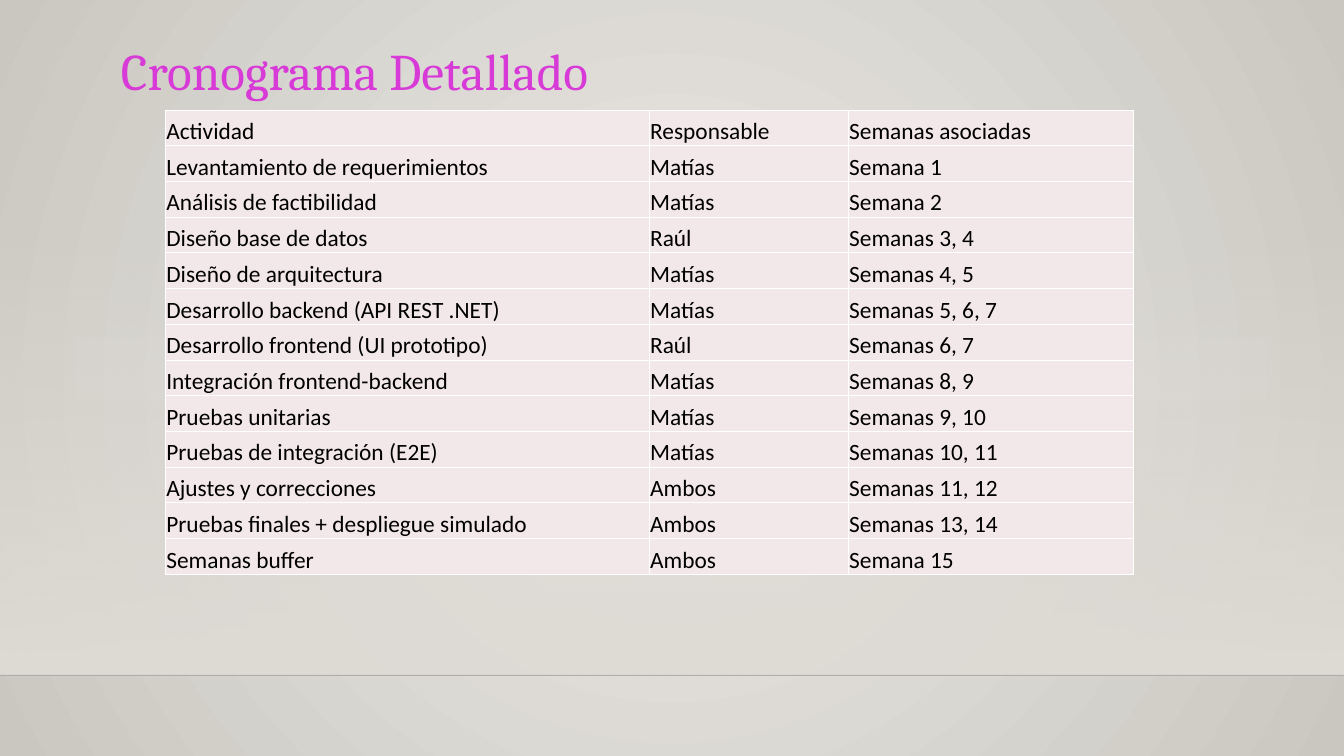
from pptx import Presentation
from pptx.dml.color import RGBColor as RGB
from pptx.enum.shapes import MSO_CONNECTOR as Connector, MSO_SHAPE as Shape
from pptx.enum.text import MSO_ANCHOR as Anchor
from pptx.oxml import parse_xml
from pptx.oxml.ns import nsdecls, qn
from pptx.util import Inches, Pt

WIDTH, HEIGHT = 16, 9
COLORS = {
    "center": "ECEAE7", "edge": "CAC7C1", "floor": "DFDBD5", "horizon": "000001",
    "title": "D73AD7", "white": "FFFFFF", "cell": "F3E8E9", "text": "000000",
}
COLUMN_WIDTHS = (5.76, 2.37, 3.4)
SCHEDULE = [
    ("Actividad", "Responsable", "Semanas asociadas"),
    ("Levantamiento de requerimientos", "Matías", "Semana 1"),
    ("Análisis de factibilidad", "Matías", "Semana 2"),
    ("Diseño base de datos", "Raúl", "Semanas 3, 4"),
    ("Diseño de arquitectura", "Matías", "Semanas 4, 5"),
    ("Desarrollo backend (API REST .NET)", "Matías", "Semanas 5, 6, 7"),
    ("Desarrollo frontend (UI prototipo)", "Raúl", "Semanas 6, 7"),
    ("Integración frontend-backend", "Matías", "Semanas 8, 9"),
    ("Pruebas unitarias", "Matías", "Semanas 9, 10"),
    ("Pruebas de integración (E2E)", "Matías", "Semanas 10, 11"),
    ("Ajustes y correcciones", "Ambos", "Semanas 11, 12"),
    ("Pruebas finales + despliegue simulado", "Ambos", "Semanas 13, 14"),
    ("Semanas buffer", "Ambos", "Semana 15"),
]


def color(name):
    return RGB.from_string(COLORS[name])


def set_opacity(element, percent):
    rgb = element.find(".//" + qn("a:srgbClr"))
    rgb.append(parse_xml(f'<a:alpha {nsdecls("a")} val="{percent * 1000}"/>'))


def set_gradient(fill, element, stops, direction):
    """Stops are (position, colour name, opacity), in percent."""
    fill.gradient()
    marks = "".join(
        f'<a:gs pos="{position * 1000}"><a:srgbClr val="{COLORS[name]}">'
        f'<a:alpha val="{opacity * 1000}"/></a:srgbClr></a:gs>'
        for position, name, opacity in stops)
    gradient = element.find(".//" + qn("a:gradFill"))
    gradient.getparent().replace(gradient, parse_xml(
        f'<a:gradFill {nsdecls("a")} rotWithShape="1"><a:gsLst>{marks}</a:gsLst>'
        f'{direction}</a:gradFill>'))


def add_rectangle(slide, box):
    rectangle = slide.shapes.add_shape(Shape.RECTANGLE, *map(Inches, box))
    rectangle.shadow.inherit = False
    rectangle.line.fill.background()
    return rectangle


def add_backdrop(slide, box):
    left, top, width, height = box
    # Radial background
    set_gradient(slide.background.fill, slide._element,
                 [(0, "center", 100), (100, "edge", 100)],
                 '<a:path path="circle"><a:fillToRect l="50000" t="50000" '
                 'r="50000" b="50000"/></a:path>')
    # Fade down to the horizon
    fade = add_rectangle(slide, box)
    set_gradient(fade.fill, fade._element,
                 [(0, "floor", 0), (100, "floor", 100)],
                 '<a:lin ang="5400000" scaled="0"/>')
    # Horizon line
    bottom = Inches(top + height)
    horizon = slide.shapes.add_connector(
        Connector.STRAIGHT, Inches(left), bottom, Inches(left + width), bottom)
    horizon.line.color.rgb = color("horizon")
    horizon.line.width = Pt(1)
    set_opacity(horizon._element, 20)
    horizon._element.spPr.append(parse_xml(f'<a:effectLst {nsdecls("a")}/>'))


def add_title(slide, box, text):
    frame = slide.shapes.add_textbox(*map(Inches, box)).text_frame
    frame.word_wrap = False
    frame.margin_left = frame.margin_right = 0
    frame.margin_top = frame.margin_bottom = 0
    title = frame.paragraphs[0]
    title.text = text
    title.line_spacing = Pt(55)
    title.font.size = Pt(44)
    title.font.name = "Cambria"
    title.font.color.rgb = color("title")


def add_veil(slide, box):
    veil = add_rectangle(slide, box)
    veil.fill.solid()
    veil.fill.fore_color.rgb = color("white")
    set_opacity(veil._element, 4)


def style_cell(cell, text):
    cell.margin_left = cell.margin_right = cell.margin_top = Inches(0.01)
    cell.margin_bottom = 0
    cell.vertical_anchor = Anchor.BOTTOM
    # Borders come before the fill
    properties = cell._tc.get_or_add_tcPr()
    for side in ("lnL", "lnR", "lnT", "lnB"):
        properties.append(parse_xml(
            f'<a:{side} {nsdecls("a")} w="{Pt(1)}"><a:solidFill>'
            f'<a:srgbClr val="{COLORS["white"]}"/></a:solidFill></a:{side}>'))
    cell.fill.solid()
    cell.fill.fore_color.rgb = color("cell")
    entry = cell.text_frame.paragraphs[0]
    entry.text = text
    entry.font.size = Pt(20)
    entry.font.name = "Calibri"
    entry.font.color.rgb = color("text")


def add_schedule(slide, box, rows):
    table = slide.shapes.add_table(
        len(rows), len(COLUMN_WIDTHS), *map(Inches, box)).table
    table.first_row = table.horz_banding = False
    for column, width in zip(table.columns, COLUMN_WIDTHS):
        column.width = Inches(width)
    for row, entries in zip(table.rows, rows):
        row.height = Inches(box[3] / len(rows))
        for cell, text in zip(row.cells, entries):
            style_cell(cell, text)


def main():
    deck = Presentation()
    deck.slide_width, deck.slide_height = Inches(WIDTH), Inches(HEIGHT)
    slide = deck.slides.add_slide(deck.slide_layouts[6])
    add_backdrop(slide, (0, 2.65, WIDTH, 5.39))
    add_title(slide, (1.44, 0.44, 6.73, 0.77), "Cronograma Detallado")
    add_veil(slide, (0.92, 4.02, 14.15, 0.75))
    add_schedule(slide, (1.97, 1.31, sum(COLUMN_WIDTHS), 5.53), SCHEDULE)
    deck.save("out.pptx")


if __name__ == "__main__":
    main()
